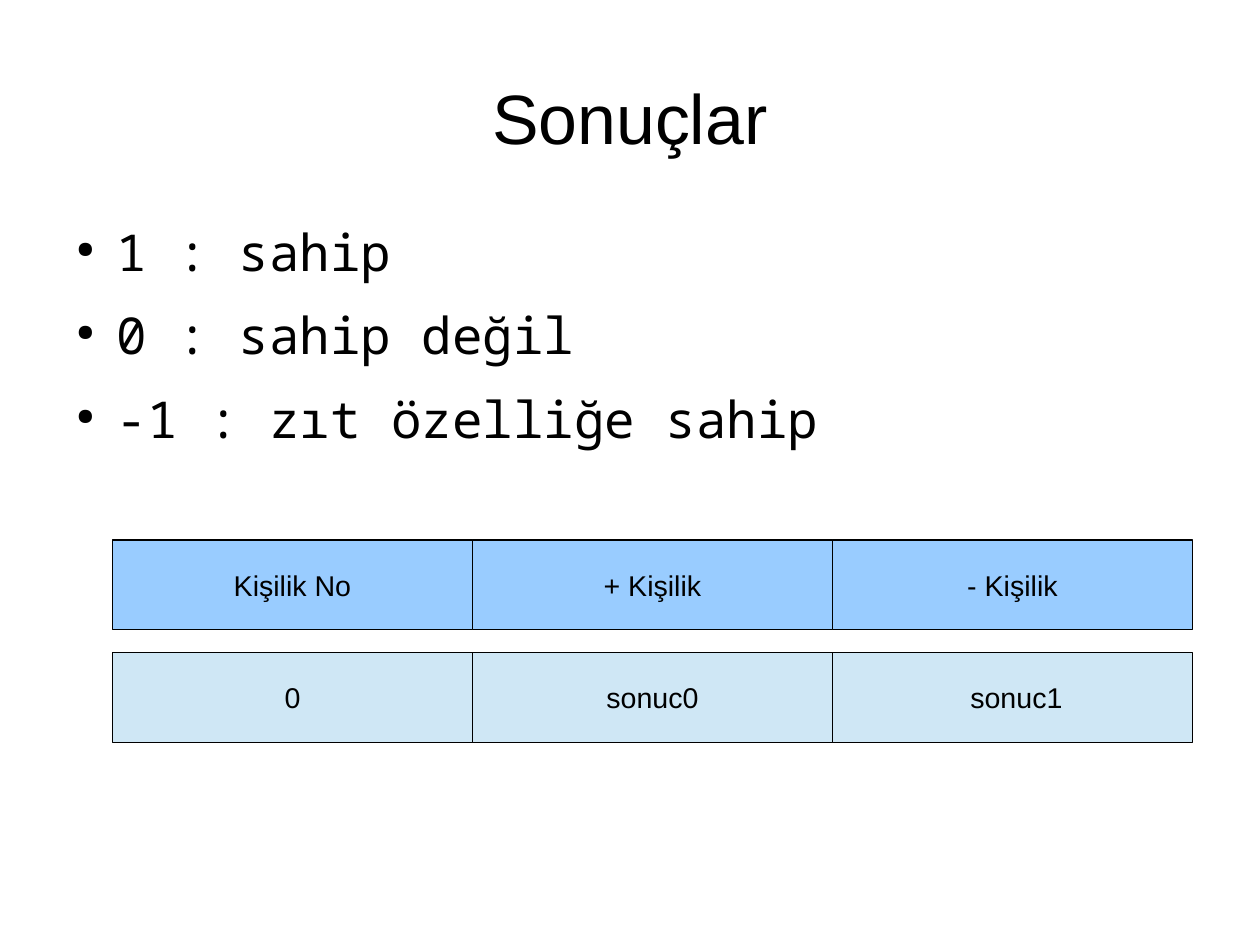
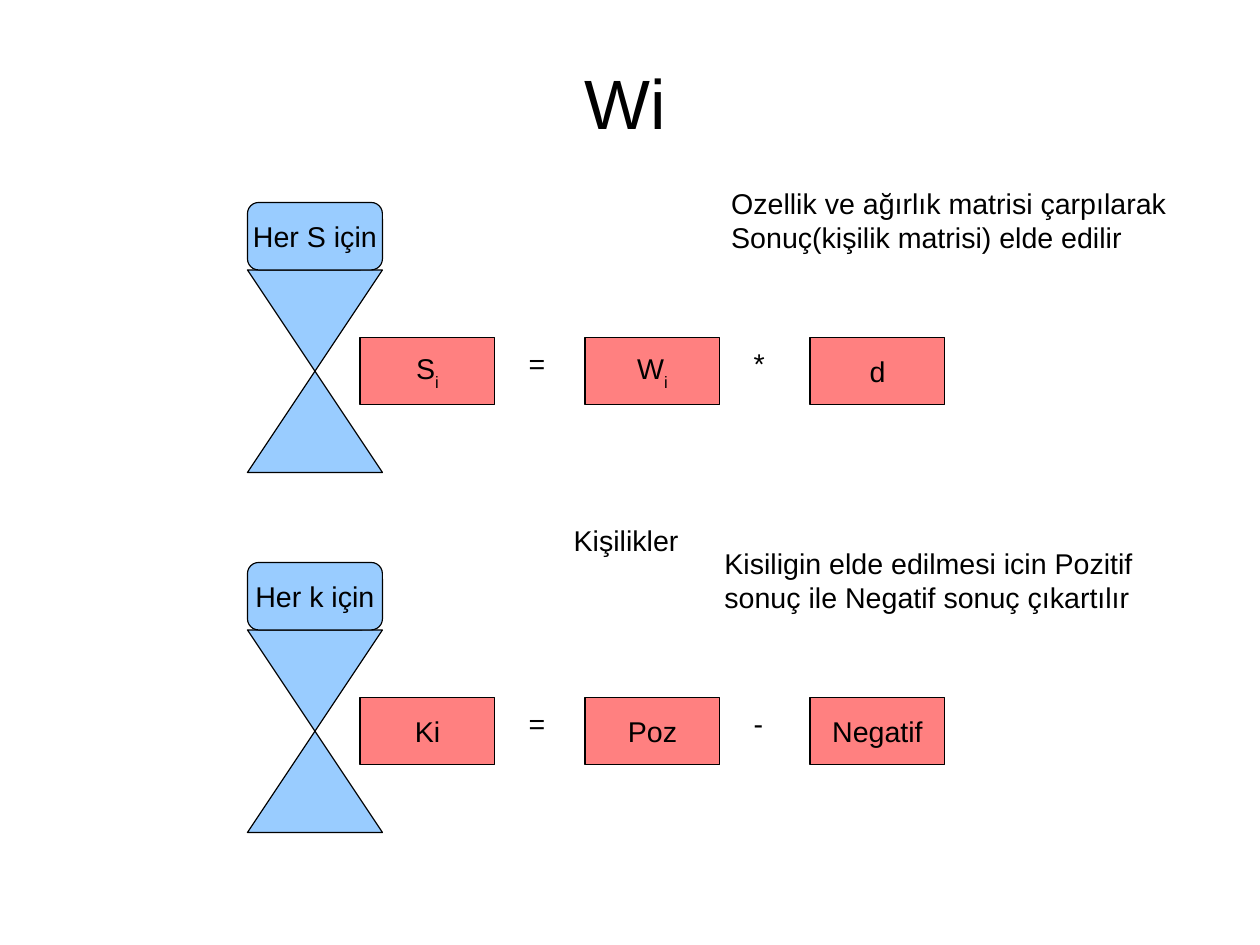
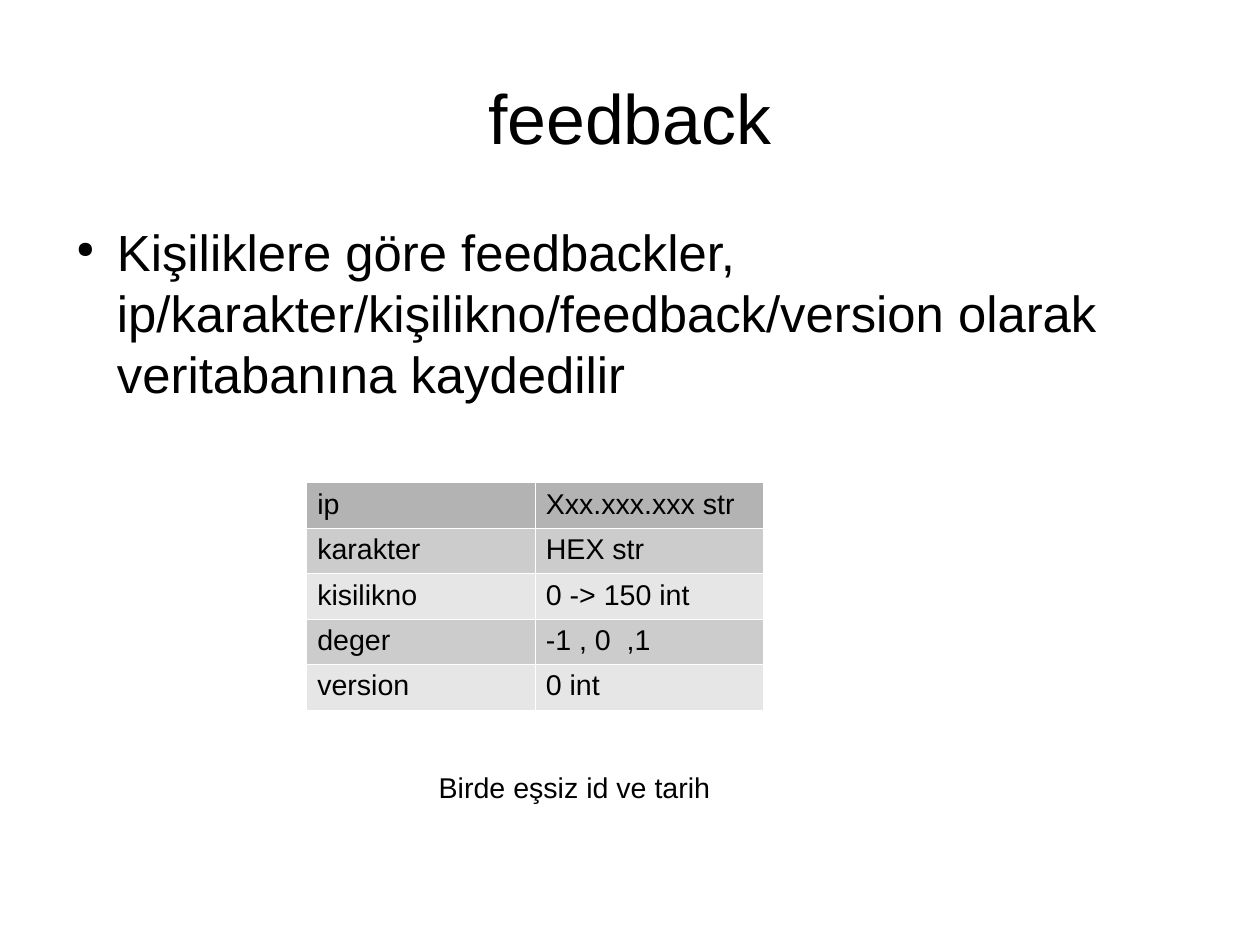
from lxml import etree
from pptx import Presentation
from pptx.dml.color import RGBColor
from pptx.enum.shapes import MSO_SHAPE
from pptx.enum.text import MSO_ANCHOR, MSO_AUTO_SIZE, PP_ALIGN
from pptx.oxml.ns import qn
from pptx.util import Cm, Pt

RECTANGLE = MSO_SHAPE.RECTANGLE
ROUNDED = MSO_SHAPE.ROUNDED_RECTANGLE
HOURGLASS = MSO_SHAPE.FLOWCHART_COLLATE
MIDDLE, TOP = MSO_ANCHOR.MIDDLE, MSO_ANCHOR.TOP
LEFT, CENTER = PP_ALIGN.LEFT, PP_ALIGN.CENTER
NO_FIT = MSO_AUTO_SIZE.NONE
TITLE_ONLY = 5

# Shared look; all lengths are centimetres on a half-centimetre grid
BLACK = RGBColor(0x00, 0x00, 0x00)
WHITE = RGBColor(0xFF, 0xFF, 0xFF)
BLUE = RGBColor(0x99, 0xCC, 0xFF)
PALE_BLUE = RGBColor(0xCF, 0xE7, 0xF5)
RED = RGBColor(0xFF, 0x80, 0x80)
HEAD_GRAY = RGBColor(0xB3, 0xB3, 0xB3)
BAND_GRAYS = (RGBColor(0xCC, 0xCC, 0xCC), RGBColor(0xE6, 0xE6, 0xE6))
SANS, MONO = "Arial", "Noto Sans Mono"
PAGE_WIDTH, PAGE_HEIGHT = 28, 21
TITLE_WIDTH, TITLE_HEIGHT = 25.2, 3.5
BODY_LEFT, BODY_TOP = 1.4, 4.9
INSETS, NO_INSETS = (0.25, 0.13), (0, 0)


def write_text(frame, paragraphs, size=18, font=SANS, align=LEFT, anchor=TOP,
               insets=INSETS, wrap=True, bullets=False):
    """Each paragraph is a string, or a (base, subscript) pair."""
    frame.auto_size = NO_FIT
    frame.word_wrap = wrap
    frame.vertical_anchor = anchor
    frame.margin_left = frame.margin_right = Cm(insets[0])
    frame.margin_top = frame.margin_bottom = Cm(insets[1])
    for index, content in enumerate(paragraphs):
        para = frame.add_paragraph() if index else frame.paragraphs[0]
        para.alignment = align
        if bullets:
            add_bullet(para)
        parts = (content,) if isinstance(content, str) else content
        for position, part in enumerate(parts):
            span = para.add_run()
            span.text = part
            span.font.size = Pt(size)
            span.font.name = font
            span.font.color.rgb = BLACK
            if position:
                span.font._element.set("baseline", "-33000")


def add_bullet(para):
    para.space_after = Pt(14.2)
    properties = para._p.get_or_add_pPr()
    properties.set("marL", str(Cm(1.2)))
    properties.set("indent", str(-Cm(0.9)))
    etree.SubElement(properties, qn("a:buSzPct")).set("val", "45000")
    etree.SubElement(properties, qn("a:buChar")).set("char", "●")


def add_page(deck, title, left=1.4, top=0.84):
    page = deck.slides.add_slide(deck.slide_layouts[TITLE_ONLY])
    box = page.shapes.title
    box.left, box.top = Cm(left), Cm(top)
    box.width, box.height = Cm(TITLE_WIDTH), Cm(TITLE_HEIGHT)
    write_text(box.text_frame, [title], size=44, align=CENTER, anchor=MIDDLE,
               insets=NO_INSETS)
    return page


def add_label(page, left, top, width, height, paragraphs, **style):
    box = page.shapes.add_textbox(Cm(left), Cm(top), Cm(width), Cm(height))
    write_text(box.text_frame, paragraphs, **style)


def add_body(page, paragraphs, height, font=SANS):
    add_label(page, BODY_LEFT, BODY_TOP, TITLE_WIDTH, height, paragraphs,
              size=32, font=font, insets=NO_INSETS, bullets=True)


def add_box(page, kind, left, top, width, height, fill, content=None):
    box = page.shapes.add_shape(kind, Cm(left), Cm(top), Cm(width), Cm(height))
    box.shadow.inherit = False
    box.fill.solid()
    box.fill.fore_color.rgb = fill
    box.line.color.rgb = BLACK
    box.line.width = Pt(0)
    if content:
        write_text(box.text_frame, [content], align=CENTER, anchor=MIDDLE,
                   wrap=False)


def add_result_rows(page, left, top):
    """Header row and sample row of three joined boxes."""
    width, height, pitch = 8, 2, 2.5
    rows = [
        (BLUE, ["Kişilik No", "+ Kişilik", "- Kişilik"]),
        (PALE_BLUE, ["0", "sonuc0", " sonuc1"]),
    ]
    for row, (fill, texts) in enumerate(rows):
        for column, text in enumerate(texts):
            add_box(page, RECTANGLE, left + column * width, top + row * pitch,
                    width, height, fill, text)


def add_loop(page, left, top, heading, terms, operators):
    """Loop heading over an hourglass, with an equation beside it."""
    width, height, pitch = 3, 1.5, 5
    first, row = left + 2.5, top + 3
    for column, term in enumerate(terms):
        add_box(page, RECTANGLE, first + column * pitch, row, width, height,
                RED, term)
    for column, operator in enumerate(operators):
        add_label(page, first + column * pitch + 3.5, row + 0.05, 1.5, 0.97,
                  [operator])
    add_box(page, HOURGLASS, left, top + height, width, 3 * height, BLUE)
    add_box(page, ROUNDED, left, top, width, height, BLUE, heading)


def set_borders(cell, color):
    properties = cell._tc.get_or_add_tcPr()
    for position, side in enumerate(("a:lnL", "a:lnR", "a:lnT", "a:lnB")):
        line = etree.Element(qn(side), w="720")
        fill = etree.SubElement(line, qn("a:solidFill"))
        etree.SubElement(fill, qn("a:srgbClr")).set("val", str(color))
        properties.insert(position, line)


def add_field_table(page, left, top, rows):
    column_width, row_height = 5.08, 1.01
    columns = len(rows[0])
    table = page.shapes.add_table(
        len(rows), columns, Cm(left), Cm(top),
        Cm(columns * column_width), Cm(len(rows) * row_height)).table
    table.first_row = table.horz_banding = False
    for row, texts in enumerate(rows):
        for column, text in enumerate(texts):
            cell = table.cell(row, column)
            cell.fill.solid()
            cell.fill.fore_color.rgb = (
                BAND_GRAYS[(row - 1) % 2] if row else HEAD_GRAY)
            cell.margin_left = cell.margin_right = Cm(INSETS[0])
            cell.margin_top = cell.margin_bottom = Cm(INSETS[1])
            set_borders(cell, WHITE)
            para = cell.text_frame.paragraphs[0]
            span = para.add_run()
            span.text = text
            span.font.size = Pt(18)
            span.font.name = SANS
            span.font.color.rgb = BLACK


def build_results(deck):
    page = add_page(deck, "Sonuçlar")
    add_body(page, ["1 : sahip", "0 : sahip değil", "-1 : zıt özelliğe sahip"],
             height=6, font=MONO)
    add_result_rows(page, 2.5, 12)


def build_weights(deck):
    page = add_page(deck, "Wi", left=1.3, top=0.5)
    add_loop(page, 5.5, 4.5, "Her S için", [("S", "i"), ("W", "i"), "d"], "=*")
    add_loop(page, 5.5, 12.5, "Her k için", ["Ki", "Poz", "Negatif"], "=-")
    add_label(page, 12.5, 11.5, 3, 0.97, ["Kişilikler"])
    add_label(page, 16, 4, 10.5, 1.67,
              ["Ozellik ve ağırlık matrisi çarpılarak",
               "Sonuç(kişilik matrisi) elde edilir"])
    add_label(page, 15.85, 12, 10.15, 1.67,
              ["Kisiligin elde edilmesi icin Pozitif "
               "sonuç ile Negatif sonuç çıkartılır"])


def build_feedback(deck):
    page = add_page(deck, "feedback")
    add_body(page, ["Kişiliklere göre feedbackler, "
                    "ip/karakter/kişilikno/feedback/version olarak "
                    "veritabanına kaydedilir"], height=3.8)
    add_field_table(page, 6.8, 10.72, [
        ("ip", "Xxx.xxx.xxx str"),
        ("karakter", "HEX str"),
        ("kisilikno", "0 -> 150 int"),
        ("deger", "-1 , 0  ,1"),
        ("version", "0 int"),
    ])
    add_label(page, 9.5, 16.97, 7, 0.97, ["Birde eşsiz id ve tarih"])


def main():
    deck = Presentation()
    deck.slide_width, deck.slide_height = Cm(PAGE_WIDTH), Cm(PAGE_HEIGHT)
    build_results(deck)
    build_weights(deck)
    build_feedback(deck)
    deck.save("out.pptx")


if __name__ == "__main__":
    main()
